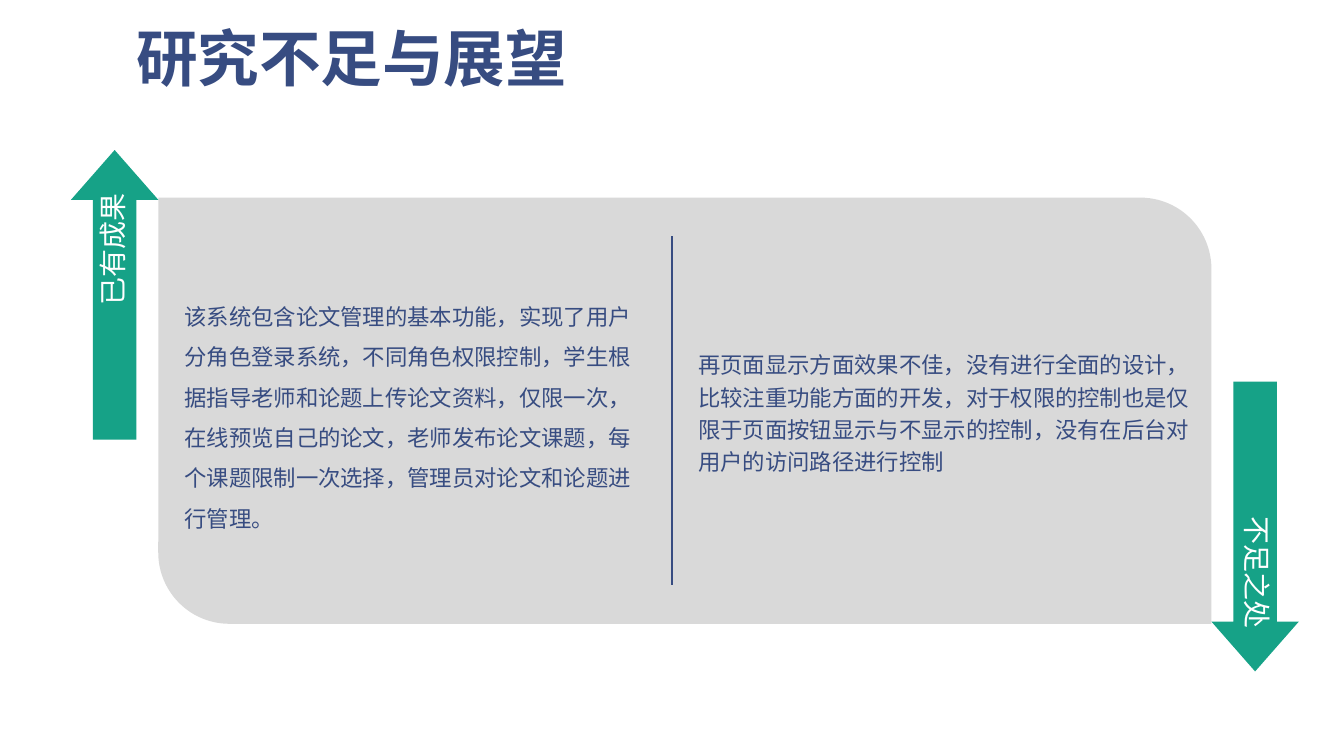
from lxml import etree
from pptx import Presentation
from pptx import util as u
from pptx.dml.color import RGBColor
from pptx.enum import shapes, text
from pptx.oxml.ns import qn

FONT = "Noto Sans CJK SC"
NAVY, GREEN, GREY, WHITE = "374C81", "16A287", "D9D9D9", "FFFFFF"

ACHIEVED = (
    "该系统包含论文管理的基本功能，实现了用户分角色登录系统，不同角色权限控制，"
    "学生根据指导老师和论题上传论文资料，仅限一次，在线预览自己的论文，"
    "老师发布论文课题，每个课题限制一次选择，管理员对论文和论题进行管理。"
)
LACKING = (
    "再页面显示方面效果不佳，没有进行全面的设计，比较注重功能方面的开发，"
    "对于权限的控制也是仅限于页面按钮显示与不显示的控制，没有在后台对用户的访问路径进行控制"
)


def colour(value):
    """Turn a hex string into a colour."""
    return RGBColor.from_string(value)


def write(box, words, size, tint, spacing, insets, anchor, align=text.PP_ALIGN.LEFT, bold=False):
    """Fill a shape with one paragraph; insets are left, top, right, bottom in cm."""
    frame = box.text_frame
    frame.word_wrap = True
    frame.vertical_anchor = anchor
    left, top, right, bottom = (u.Cm(inset) for inset in insets)
    frame.margin_left, frame.margin_top = left, top
    frame.margin_right, frame.margin_bottom = right, bottom
    para = frame.paragraphs[0]
    para.alignment = align
    para.line_spacing = spacing
    span = para.add_run()
    span.text = words
    span.font.size = u.Pt(size)
    span.font.bold = bold
    span.font.color.rgb = colour(tint)
    span.font.name = FONT
    latin = span.font._element.find(qn("a:latin"))
    east_asian = etree.Element(qn("a:ea"), typeface=FONT)
    latin.addnext(east_asian)


def add_filled(page, kind, left, top, width, height, fill):
    """Add a flat preset shape without outline."""
    shape = page.shapes.add_shape(kind, u.Cm(left), u.Cm(top), u.Cm(width), u.Cm(height))
    shape.shadow.inherit = False
    shape.fill.solid()
    shape.fill.fore_color.rgb = colour(fill)
    shape.line.fill.background()
    return shape


def add_title(page, left, top, width, height):
    """Write the heading of the slide."""
    box = page.shapes.add_textbox(u.Cm(left), u.Cm(top), u.Cm(width), u.Cm(height))
    write(box, "研究不足与展望", 44, NAVY, 0.85, (0.33, 0.18, 0.33, 0.18),
          text.MSO_ANCHOR.BOTTOM, bold=True)


def add_panel(page, left, top, width, height):
    """Draw the grey panel with its divider and two columns of text."""
    panel = add_filled(page, shapes.MSO_SHAPE.ROUND_2_DIAG_RECTANGLE,
                       left, top, width, height, GREY)
    panel.adjustments[0], panel.adjustments[1] = 0, 0.167

    middle, margin = left + 12.95, 0.97
    divider = page.shapes.add_connector(
        shapes.MSO_CONNECTOR.STRAIGHT,
        u.Cm(middle), u.Cm(top + margin), u.Cm(middle), u.Cm(top + height - margin))
    divider.line.color.rgb = colour(NAVY)
    divider.line.width = u.Pt(1)
    etree.SubElement(divider._element.spPr, qn("a:effectLst"))

    gap = 0.56
    columns = [
        (ACHIEVED, left + gap, 11.81, 1.5),
        (LACKING, middle + gap, 12.65, 1.2),
    ]
    for words, column_left, column_width, spacing in columns:
        box = page.shapes.add_textbox(u.Cm(column_left), u.Cm(top),
                                      u.Cm(column_width), u.Cm(height))
        write(box, words, 16, NAVY, spacing, (0.1,) * 4, text.MSO_ANCHOR.MIDDLE)


def add_arrow(page, left, top, width, height, label, rotation):
    """Draw a labelled upright arrow filling the given box, turned by rotation."""
    arrow = add_filled(page, shapes.MSO_SHAPE.RIGHT_ARROW,
                       left + (width - height) / 2, top + (height - width) / 2,
                       height, width, GREEN)
    arrow.rotation = rotation
    arrow.adjustments[0], arrow.adjustments[1] = 0.5, 0.57
    write(arrow, label, 20, WHITE, 0.9, (0.23, 0, 0.46, 0),
          text.MSO_ANCHOR.MIDDLE, text.PP_ALIGN.RIGHT)


def main():
    """Build the slide and save it."""
    deck = Presentation()
    deck.slide_width, deck.slide_height = u.Cm(33.87), u.Cm(19.05)
    page = deck.slides.add_slide(deck.slide_layouts[6])

    add_title(page, 3.1, 0.2, 28.22, 2.36)

    left, top, width, height = 3.99, 4.98, 26.54, 10.74
    add_panel(page, left, top, width, height)

    arrow_width, arrow_height, overhang = 2.2, 7.3, 1.2
    add_arrow(page, left - arrow_width, top - overhang,
              arrow_width, arrow_height, "已有成果", 270)
    add_arrow(page, left + width, top + height + overhang - arrow_height,
              arrow_width, arrow_height, "不足之处", 90)

    deck.save("out.pptx")


if __name__ == "__main__":
    main()
